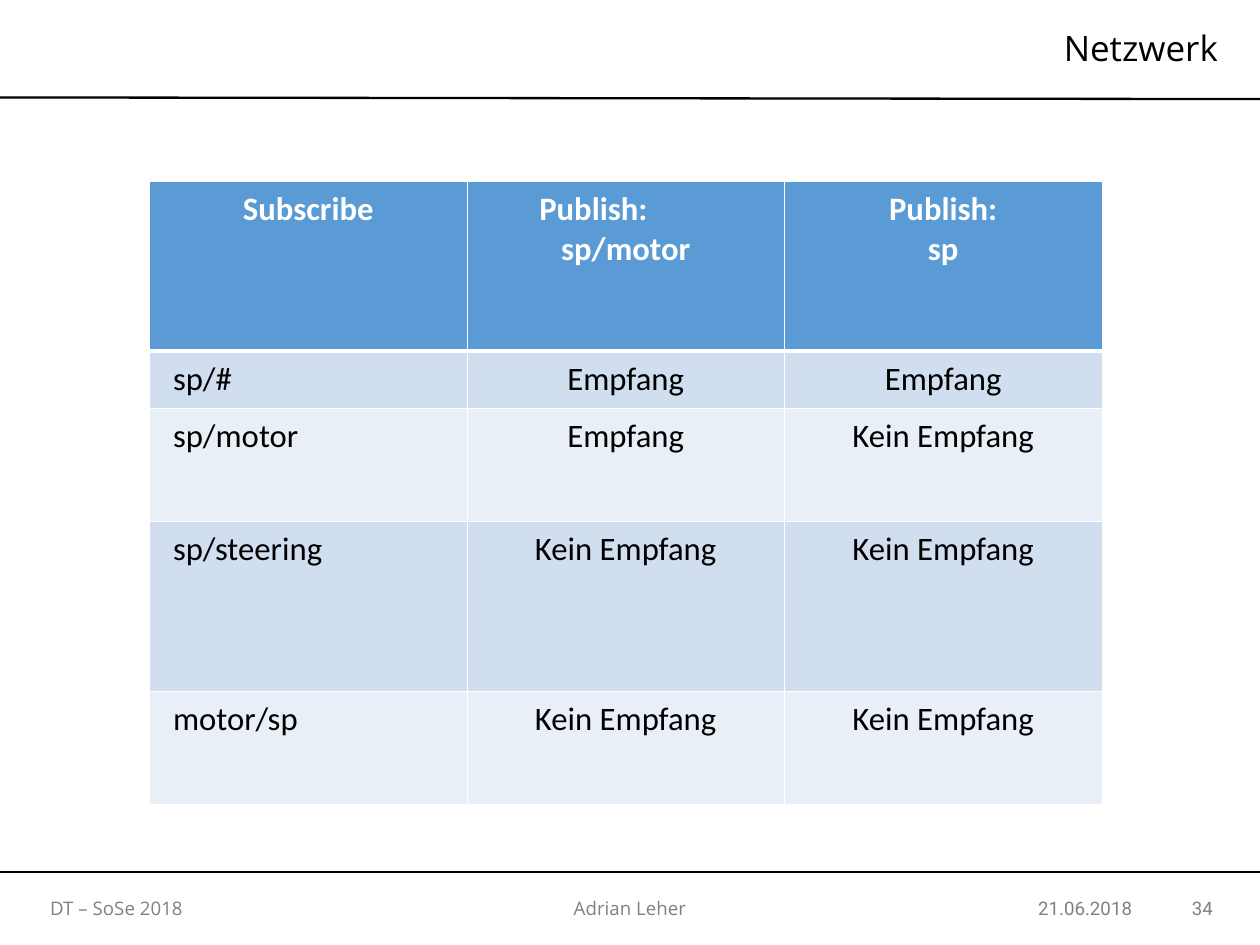
"""Build the slide on network topics: who receives which message."""
from lxml import etree
from pptx import Presentation
from pptx.dml.color import RGBColor
from pptx.enum.shapes import MSO_CONNECTOR
from pptx.enum.text import MSO_ANCHOR, PP_ALIGN
from pptx.oxml.ns import qn
from pptx.util import Inches, Pt

LEFT, MID, RIGHT = PP_ALIGN.LEFT, PP_ALIGN.CENTER, PP_ALIGN.RIGHT
CENTER = MSO_ANCHOR.MIDDLE
STRAIGHT = MSO_CONNECTOR.STRAIGHT
BLACK = RGBColor(0, 0, 0)
WHITE = RGBColor(0xFF, 0xFF, 0xFF)
GREY = RGBColor(0x80, 0x80, 0x80)
BLUE = RGBColor(0x5B, 0x9B, 0xD5)
BANDS = RGBColor(0xE9, 0xEF, 0xF7), RGBColor(0xD0, 0xDE, 0xEF)

WIDE = 7.5
HIGH = WIDE * 3 / 4
TITLE = "Netzwerk"
YES, NO = "Empfang", "Kein Empfang"
TOPICS = [
    ("Subscribe", "Publish:\nsp/motor", "Publish:\nsp"),
    ("sp/#", YES, YES),
    ("sp/motor", YES, NO),
    ("sp/steering", NO, NO),
    ("motor/sp", NO, NO),
]
UNIT = 0.337
SPANS = 3, 1, 2, 3, 2
COL = 1.89
RULES = (0.58, 0.59), (5.19, 5.19)
FOOTER = [
    ("DT – SoSe 2018", 0.2, 1.68, LEFT, "Open Sans", 0.1),
    ("Adrian Leher", 3.21, 1.08, MID, "Open Sans", 0.1),
    ("21.06.2018", 6.06, 0.8, MID, "Roboto", 0.07),
    ("34", 6.9, 0.39, RIGHT, "Roboto", 0.07),
]


def style(para, align, face, size, color, bold=False):
    """Format one paragraph."""
    para.alignment = align
    font = para.font
    font.name, font.size, font.bold = face, Pt(size), bold
    font.color.rgb = color


def place(shape, left, top, wide, high, side):
    """Set the bounds and the insets of a text shape."""
    shape.left, shape.top = Inches(left), Inches(top)
    shape.width, shape.height = Inches(wide), Inches(high)
    frame = shape.text_frame
    frame.word_wrap, frame.vertical_anchor = True, CENTER
    frame.margin_left = frame.margin_right = Inches(side)
    frame.margin_top = frame.margin_bottom = 0
    return frame


def border(cell, row):
    """Draw white cell edges, thick below the header."""
    props = cell._tc.get_or_add_tcPr()
    thick = {(0, "B"), (1, "T")}
    for edge in "LRTB":
        width = Pt(1.98 if (row, edge) in thick else 0.23)
        line = etree.SubElement(props, qn(f"a:ln{edge}"), w=str(width))
        fill = etree.SubElement(line, qn("a:solidFill"))
        etree.SubElement(fill, qn("a:srgbClr"), val=str(WHITE))


def add_topics(slide):
    """Add the table of topics."""
    wide, high = COL * len(TOPICS[0]), UNIT * sum(SPANS)
    table = slide.shapes.add_table(
        len(TOPICS), len(TOPICS[0]), Inches(0.89),
        Inches(1.08), Inches(wide), Inches(high)).table
    table.horz_banding = False
    for r, (row, span) in enumerate(zip(TOPICS, SPANS)):
        table.rows[r].height = Inches(UNIT * span)
        for c, text in enumerate(row):
            cell = table.cell(r, c)
            cell.text = text
            border(cell, r)
            cell.fill.solid()
            cell.fill.fore_color.rgb = BANDS[r % 2] if r else BLUE
            if r and c == 0:
                cell.margin_left = Inches(0.14)
            for para in cell.text_frame.paragraphs:
                style(para, LEFT if r and c == 0 else MID, "Calibri", 14,
                      BLACK if r else WHITE, r == 0)
    para = table.cell(0, 1).text_frame.paragraphs[0]
    para.alignment = LEFT
    para._p.get_or_add_pPr().set("marL", str(Inches(0.33)))


def main():
    """Assemble and save the slide."""
    deck = Presentation()
    deck.slide_width, deck.slide_height = Inches(WIDE), Inches(HIGH)
    slide = deck.slides.add_slide(deck.slide_layouts[5])
    for start, end in RULES:
        rule = slide.shapes.add_connector(
            STRAIGHT, 0, Inches(start), Inches(WIDE), Inches(end))
        rule.line.color.rgb, rule.line.width = BLACK, Pt(1)
        etree.SubElement(rule._element.spPr, qn("a:effectLst"))
    frame = place(slide.shapes.title, 2.21, 0.11, 5.04, 0.35, 0)
    frame.text = TITLE
    style(frame.paragraphs[0], RIGHT, "Open Sans", 15, BLACK)
    add_topics(slide)
    for text, left, wide, align, face, side in FOOTER:
        box = slide.shapes.add_textbox(0, 0, 0, 0)
        frame = place(box, left, 5.29, wide, 0.23, side)
        frame.text = text
        style(frame.paragraphs[0], align, face, 8, GREY)
    deck.save("out.pptx")


if __name__ == "__main__":
    main()
